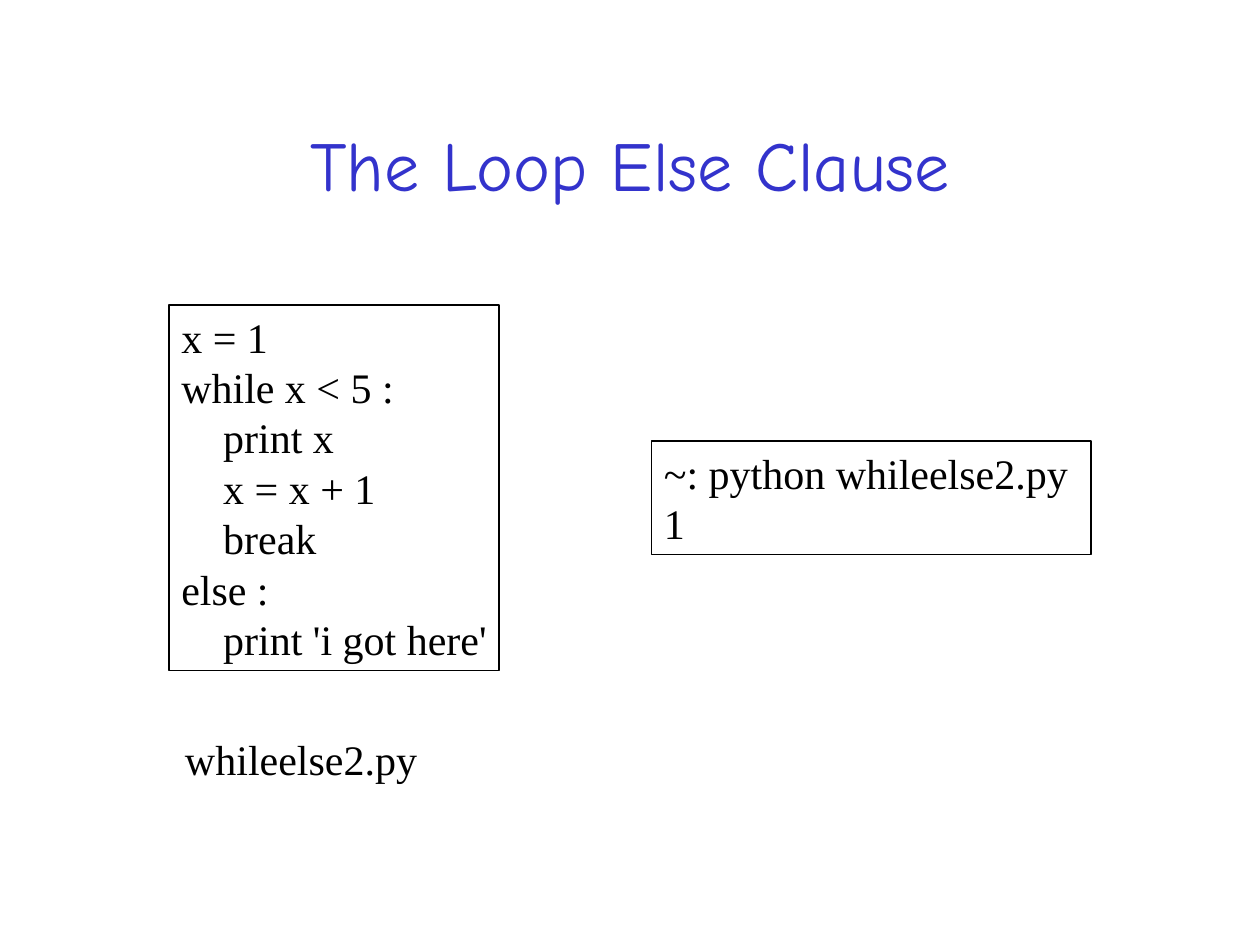
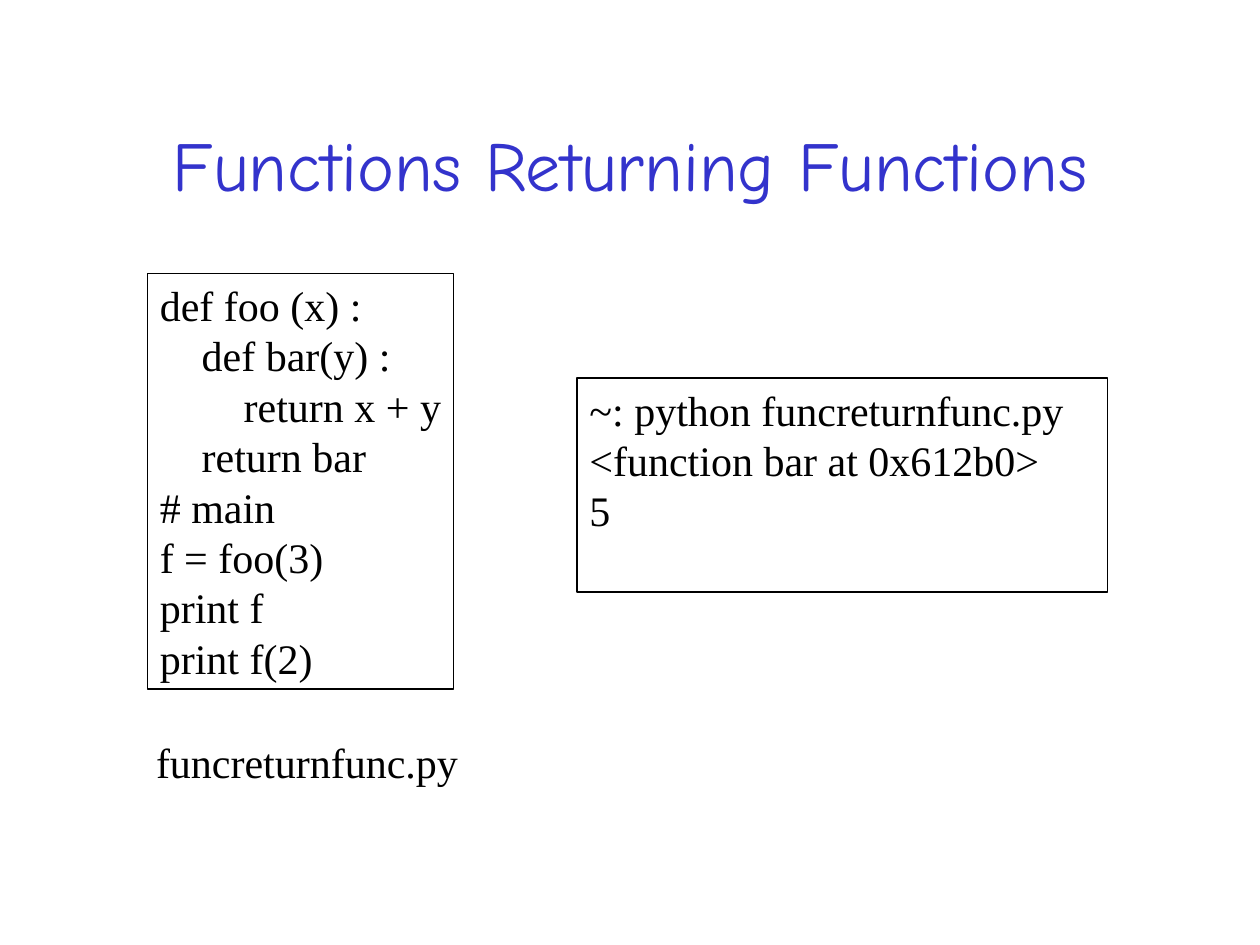
from pptx import Presentation
from pptx.dml.color import RGBColor
from pptx.enum.shapes import MSO_SHAPE
from pptx.enum.text import MSO_ANCHOR, MSO_AUTO_SIZE, PP_ALIGN
from pptx.util import Inches, Pt

HEX = {"title": "3333CC", "ink": "000000"}
FONTS = {"title": "Comic Neue", "ink": "Times New Roman"}
SIZES = {"title": 40, "ink": 24}
COLS, ROWS = 100, 75
LINE = 4  # grid rows per line of text
PAD = 1   # top and bottom insets together, in rows


class Deck:
    """Holds the style and the current slide; places are in grid columns and rows."""

    def __init__(self):
        self.prs = Presentation()
        self.prs.slide_width = Inches(10)
        self.prs.slide_height = Inches(7.5)
        self.slide = None

    def area(self, col, row, wide, high):
        x = self.prs.slide_width / COLS
        y = self.prs.slide_height / ROWS
        return [round(n) for n in (col * x, row * y, wide * x, high * y)]

    def fill_text(self, frame, lines, style, align, wrap):
        frame.word_wrap = wrap
        frame.auto_size = MSO_AUTO_SIZE.NONE
        for i, line in enumerate(lines):
            para = frame.paragraphs[0] if i == 0 else frame.add_paragraph()
            para.alignment = align
            if style == "ink":
                para.line_spacing = Pt(28.8)
            run = para.add_run()
            run.text = line
            run.font.name = FONTS[style]
            run.font.size = Pt(SIZES[style])
            run.font.color.rgb = RGBColor.from_string(HEX[style])

    def title(self, text):
        self.slide = self.prs.slides.add_slide(self.prs.slide_layouts[5])
        head = self.slide.shapes.title
        head.left, head.top, head.width, head.height = self.area(7.5, 6.7, 85, 12.5)
        head.text_frame.vertical_anchor = MSO_ANCHOR.MIDDLE
        self.fill_text(head.text_frame, [text], "title", PP_ALIGN.CENTER, True)

    def frame(self, col, row, wide, lines, wrap=False, spare=0):
        """Outlined box, as high as its lines plus any spare ones."""
        high = LINE * (len(lines) + spare) + PAD
        box = self.slide.shapes.add_shape(
            MSO_SHAPE.RECTANGLE, *self.area(col, row, wide, high))
        box.shadow.inherit = False
        box.fill.background()
        box.line.color.rgb = RGBColor.from_string(HEX["ink"])
        box.line.width = Pt(0.75)
        box.text_frame.vertical_anchor = MSO_ANCHOR.TOP
        self.fill_text(box.text_frame, lines, "ink", PP_ALIGN.LEFT, wrap)

    def label(self, col, row, wide, text):
        box = self.slide.shapes.add_textbox(*self.area(col, row, wide, LINE + PAD))
        self.fill_text(box.text_frame, [text], "ink", PP_ALIGN.LEFT, False)


def main():
    deck = Deck()

    deck.title("The Loop Else Clause")
    deck.frame(13.4, 24.2, 26.2, [
        "x = 1",
        "while x < 5 :",
        "    print x",
        "    x = x + 1",
        "    break",
        "else :",
        "    print 'i got here'",
    ])
    deck.frame(51.7, 35, 34.9, ["~: python whileelse2.py", "1"], wrap=True)
    deck.label(13.7, 57.7, 20.4, "whileelse2.py")

    deck.title("Functions Returning Functions")
    deck.frame(11.7, 21.7, 24.3, [
        "def foo (x) :",
        "    def bar(y) :",
        "        return x + y",
        "    return bar",
        "# main",
        "f = foo(3)",
        "print f",
        "print f(2)",
    ])
    deck.frame(45.8, 30, 42.1, [
        "~: python funcreturnfunc.py",
        "<function bar at 0x612b0>",
        "5",
    ], wrap=True, spare=1)
    deck.label(11.4, 58, 26, "funcreturnfunc.py")

    deck.prs.save("out.pptx")


if __name__ == "__main__":
    main()
